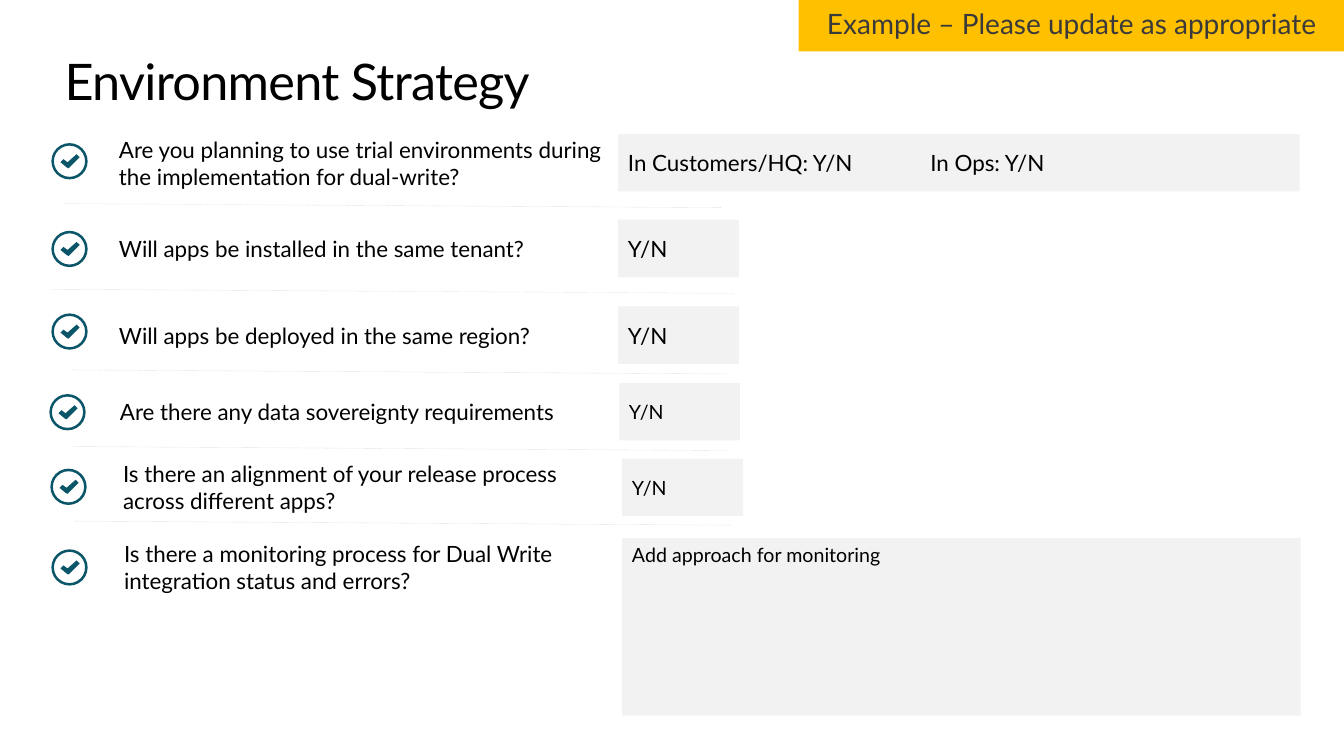
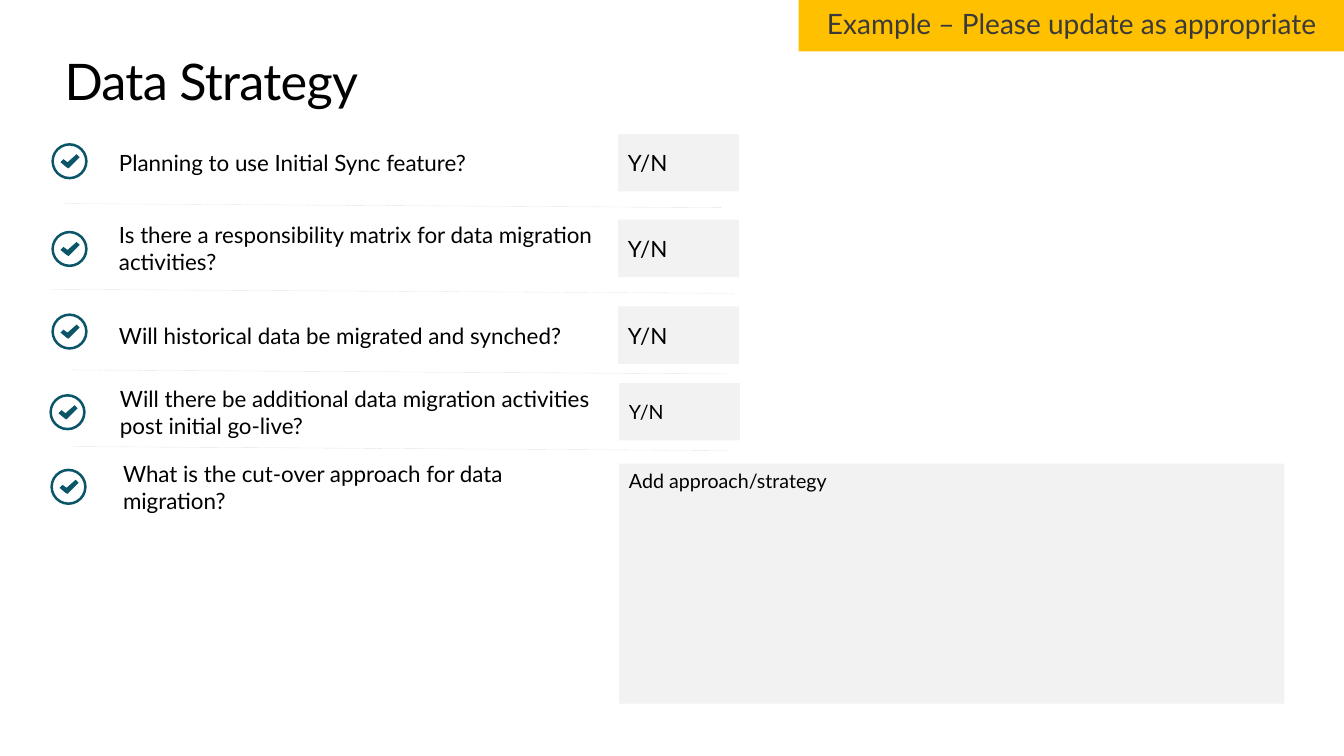
from dataclasses import dataclass

from lxml import etree
from pptx import Presentation
from pptx.dml.color import RGBColor
from pptx.enum.dml import MSO_LINE
from pptx.enum.shapes import MSO_CONNECTOR, MSO_SHAPE
from pptx.enum.text import MSO_ANCHOR, PP_ALIGN
from pptx.oxml.ns import qn
from pptx.util import Inches, Pt

RECTANGLE, RING = MSO_SHAPE.RECTANGLE, MSO_SHAPE.DONUT
STRAIGHT, DASH = MSO_CONNECTOR.STRAIGHT, MSO_LINE.DASH
TOP, MIDDLE = MSO_ANCHOR.TOP, MSO_ANCHOR.MIDDLE
LEFT, CENTER = PP_ALIGN.LEFT, PP_ALIGN.CENTER


@dataclass(frozen=True)
class Theme:
    font: str = "Lato"
    ink: str = "000000"
    accent: str = "0B5569"
    panel: str = "F2F2F2"
    rule: str = "D9D9D9"
    banner: str = "FFC000"
    banner_ink: str = "3A3A3A"
    title_size: int = 36
    banner_size: int = 20
    body_size: int = 16
    note_size: int = 14


@dataclass(frozen=True)
class Row:
    """A checklist row; shifts are measured from the column's left edge."""
    top: float
    icon_drop: float
    divider: tuple = ()  # left, drop below the row's top, right
    icon_shift: float = 0
    question_shift: float = 0
    answer_shift: float = 0
    answer_size: int = Theme.body_size


THEME = Theme()

# Grid in inches: slide, columns and rows
SLIDE_WIDTH, SLIDE_HEIGHT = 13.33, 7.5
ICON_COLUMN, QUESTION_COLUMN, ANSWER_COLUMN = 0.51, 0.58, 6.13
QUESTION_WIDTH, ANSWER_WIDTH, ROW_HEIGHT = 5.51, 1.2, 0.57
ICON_SIZE, DIVIDER_SLOPE, TAB_STOP = 0.36, 0.04, 3
TITLE_BOX = (0.64, 0.5, 12.05, 0.61)
BANNER_BOX = (7.92, -0.02, 5.42, 0.53)
PANEL_INSETS = (0.1, 0.05, 0.1, 0.05)
QUESTION_INSETS = (0.6, 0.05, 0.1, 0.05)
ROWS = [
    Row(1.33, 0.09, (0.64, 0.69, 7.15)),
    Row(2.18, 0.11, (0.51, 0.69, 7.28)),
    Row(3.04, 0.07, (0.71, 0.63, 7.23)),
    Row(3.8, 0.11, (0.71, 0.63, 7.23), -0.02, 0.01, 0.01, THEME.note_size),
    Row(4.55, 0.1, (0.74, 0.62, 7.25), -0.01, 0.04, 0.04, THEME.note_size),
    Row(5.34, 0.11, (), 0, 0.05, 0.04, THEME.note_size),
]

# Tick outline, measured from the icon's corner
TICK = [(0.25, 0.11), (0.16, 0.19), (0.12, 0.16), (0.09, 0.19), (0.15, 0.24),
        (0.17, 0.25), (0.18, 0.24), (0.28, 0.14)]

# Content: question, answer and, where it differs, the answer's box
YES_NO = "Y/N"
PAGES = [
    ("Environment Strategy", [
        ("Are you planning to use trial environments during the "
         "implementation for dual-write?",
         "In Customers/HQ: Y/N\tIn Ops: Y/N",
         (ANSWER_COLUMN, 1.33, 6.76, ROW_HEIGHT)),
        ("Will apps be installed in the same tenant?", YES_NO, None),
        ("Will apps be deployed in the same region?", YES_NO, None),
        ("Are there any data sovereignty requirements", YES_NO, None),
        ("Is there an alignment of your release process across different "
         "apps?", YES_NO, None),
        ("Is there a monitoring process for Dual Write integration status "
         "and errors?",
         "Add approach for monitoring", (6.17, 5.34, 6.73, 1.76)),
    ]),
    ("Data Strategy", [
        ("Planning to use Initial Sync feature?", YES_NO, None),
        ("Is there a responsibility matrix for data migration activities?",
         YES_NO, None),
        ("Will historical data be migrated and synched?", YES_NO, None),
        ("Will there be additional data migration activities post initial "
         "go-live?", YES_NO, None),
        ("What is the cut-over approach for data migration?",
         "Add approach/strategy", (6.14, 4.6, 6.6, 2.38)),
    ]),
]


def inches(lengths):
    return [Inches(length) for length in lengths]


def paint(shape, color):
    shape.shadow.inherit = False
    shape.fill.solid()
    shape.fill.fore_color.rgb = RGBColor.from_string(color)
    shape.line.fill.background()


def write(shape, text, size, insets, anchor=MIDDLE, color=THEME.ink,
          align=LEFT):
    frame = shape.text_frame
    frame.word_wrap = True
    frame.vertical_anchor = anchor
    (frame.margin_left, frame.margin_top,
     frame.margin_right, frame.margin_bottom) = inches(insets)
    para = frame.paragraphs[0]
    para.text = text
    para.alignment = align
    para.font.name = THEME.font
    para.font.size = Pt(size)
    para.font.color.rgb = RGBColor.from_string(color)
    return para


def add_text(page, box, text, size, insets, anchor=MIDDLE):
    shape = page.shapes.add_textbox(*inches(box))
    return write(shape, text, size, insets, anchor)


def add_panel(page, box, color):
    panel = page.shapes.add_shape(RECTANGLE, *inches(box))
    paint(panel, color)
    return panel


def add_title(page, text):
    para = add_text(page, TITLE_BOX, text, THEME.title_size, (0, 0, 0, 0), TOP)
    para.runs[0].font._element.set("spc", "-50")


def add_banner(page):
    banner = add_panel(page, BANNER_BOX, THEME.banner)
    para = write(banner, "Example – Please update as appropriate",
                 THEME.banner_size, (0.12,) * 4, TOP, THEME.banner_ink, CENTER)
    para.line_spacing = 0.9


def add_check_icon(page, left, top):
    icon = page.shapes.add_group_shape()
    ring = icon.shapes.add_shape(
        RING, *inches((left, top, ICON_SIZE, ICON_SIZE)))
    ring.adjustments[0] = 0.07
    points = [inches((left + x, top + y)) for x, y in TICK]
    outline = icon.shapes.build_freeform(*points[0])
    outline.add_line_segments(points[1:])
    for part in (ring, outline.convert_to_shape()):
        paint(part, THEME.accent)


def add_divider(page, row):
    left, drop, right = row.divider
    top = row.top + drop
    divider = page.shapes.add_connector(
        STRAIGHT, *inches((left, top, right, top + DIVIDER_SLOPE)))
    divider.line.color.rgb = RGBColor.from_string(THEME.rule)
    divider.line.width = Pt(0.25)
    divider.line.dash_style = DASH
    etree.SubElement(divider._element.spPr, qn("a:effectLst"))


def add_answer(page, row, text, box):
    standard = (ANSWER_COLUMN + row.answer_shift, row.top,
                ANSWER_WIDTH, ROW_HEIGHT)
    box = box or standard
    panel = add_panel(page, box, THEME.panel)
    anchor = TOP if box[3] > ROW_HEIGHT else MIDDLE
    para = write(panel, text, row.answer_size, PANEL_INSETS, anchor)
    if "\t" in text:
        stops = etree.SubElement(para._p.get_or_add_pPr(), qn("a:tabLst"))
        # The default run properties must stay last
        defaults = stops.getprevious()
        if defaults is not None and defaults.tag == qn("a:defRPr"):
            defaults.addprevious(stops)
        etree.SubElement(stops, qn("a:tab"),
                         pos=str(Inches(TAB_STOP)), algn="l")


def add_checklist(page, items):
    for row, (question, answer, answer_box) in zip(ROWS, items):
        add_text(page, (QUESTION_COLUMN + row.question_shift, row.top,
                        QUESTION_WIDTH, ROW_HEIGHT),
                 question, THEME.body_size, QUESTION_INSETS)
        add_check_icon(page, ICON_COLUMN + row.icon_shift,
                       row.top + row.icon_drop)
        add_answer(page, row, answer, answer_box)
    # Dividers run between rows only
    for row in ROWS[:len(items) - 1]:
        add_divider(page, row)


def main():
    deck = Presentation()
    deck.slide_width, deck.slide_height = inches((SLIDE_WIDTH, SLIDE_HEIGHT))
    blank = deck.slide_layouts[6]
    for title, items in PAGES:
        page = deck.slides.add_slide(blank)
        add_title(page, title)
        add_checklist(page, items)
        add_banner(page)
    deck.save("out.pptx")


main()
